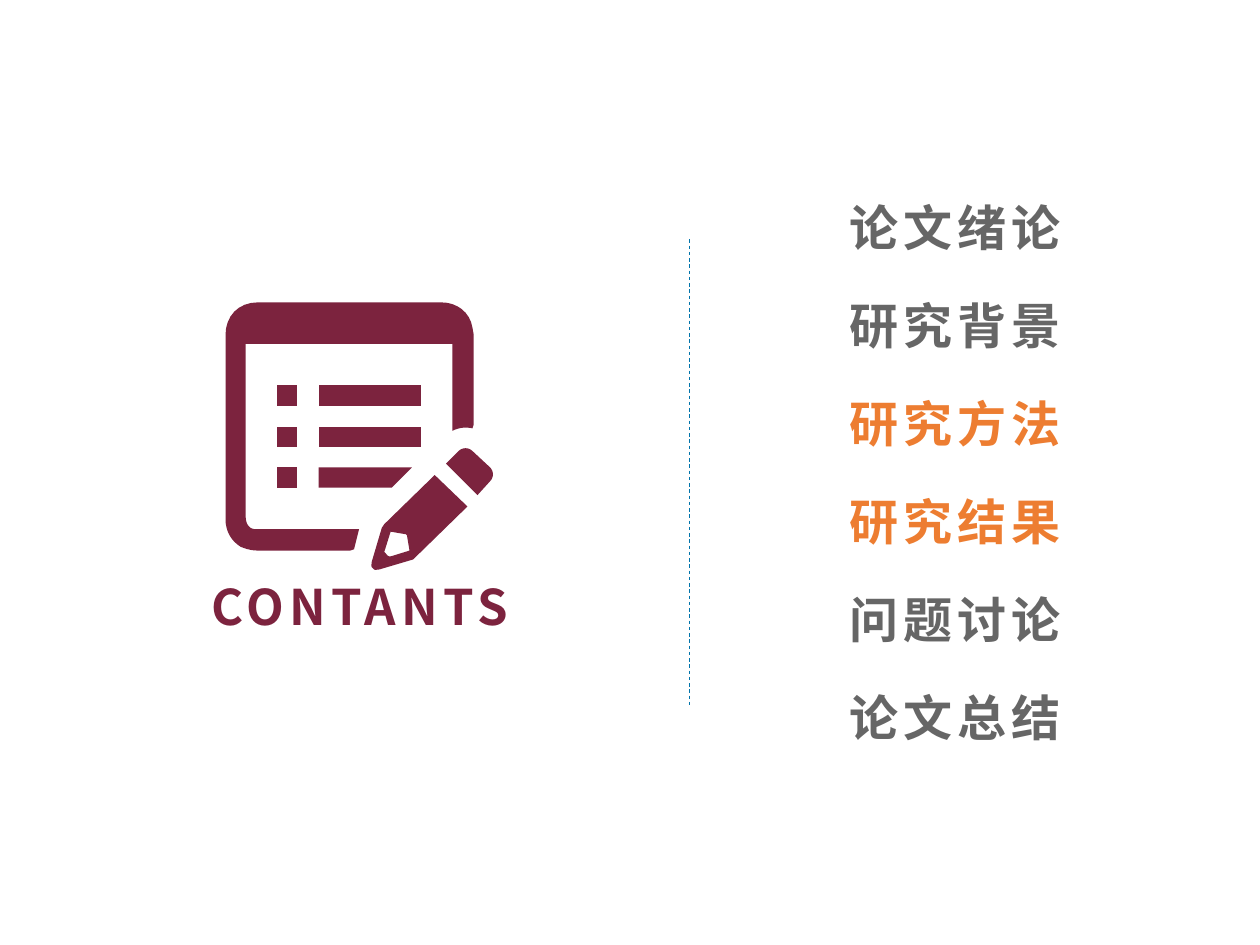
from lxml import etree
from pptx import Presentation
from pptx.dml.color import RGBColor
from pptx.enum.dml import MSO_LINE
from pptx.enum.shapes import MSO_CONNECTOR
from pptx.enum.text import MSO_AUTO_SIZE, PP_ALIGN
from pptx.oxml.ns import qn
from pptx.util import Inches, Pt

DASH = MSO_LINE.DASH
STRAIGHT = MSO_CONNECTOR.STRAIGHT
GROW = MSO_AUTO_SIZE.SHAPE_TO_FIT_TEXT
LEFT, CENTER = PP_ALIGN.LEFT, PP_ALIGN.CENTER
FONT = "Noto Sans CJK SC"
COLORS = {"wine": "7C233E", "gray": "666666", "orange": "ED7D31", "blue": "0174AB"}
STEPS = 8

deck = Presentation()
deck.slide_width, deck.slide_height = Inches(10), Inches(7.5)
slide = deck.slides.add_slide(deck.slide_layouts[6])


def label(text, left, top, width, color, align=LEFT):
    box = slide.shapes.add_textbox(Inches(left), Inches(top), Inches(width), Inches(0.57))
    frame = box.text_frame
    frame.word_wrap = True
    frame.auto_size = GROW
    para = frame.paragraphs[0]
    para.alignment = align
    run = para.add_run()
    run.text = text
    font = para.font
    font.name, font.size, font.bold = FONT, Pt(28), True
    font.color.rgb = RGBColor.from_string(COLORS[color])
    props = run._r.get_or_add_rPr()
    props.set("spc", "300")
    etree.SubElement(props, qn("a:ea")).set("typeface", FONT)


def outline(shapes, *rings):
    """Fill closed rings; a pair is a corner, six numbers are a cubic curve."""
    build = None
    for first, *rest in rings:
        start = [Inches(v) for v in first]
        if build is None:
            build = shapes.build_freeform(*start)
        else:
            build.move_to(*start)
        dots, (x, y) = [], first
        for part in rest:
            if len(part) == 2:
                dots.append(part)
            else:
                a, b, c, d, e, f = part
                for i in range(1, STEPS + 1):
                    t = i / STEPS
                    u = 1 - t
                    dots.append((
                        u**3 * x + 3 * u * u * t * a + 3 * u * t * t * c + t**3 * e,
                        u**3 * y + 3 * u * u * t * b + 3 * u * t * t * d + t**3 * f))
            x, y = part[-2:]
        build.add_line_segments([(Inches(px), Inches(py)) for px, py in dots], close=True)
    shape = build.convert_to_shape()
    shape.shadow.inherit = False
    shape.fill.solid()
    shape.fill.fore_color.rgb = RGBColor.from_string(COLORS["wine"])
    shape.line.fill.background()


# Divider
rule = slide.shapes.add_connector(STRAIGHT, Inches(5.47), Inches(1.9), Inches(5.47), Inches(5.6))
rule.line.color.rgb = RGBColor.from_string(COLORS["blue"])
rule.line.width = Pt(0.5)
rule.line.dash_style = DASH
etree.SubElement(rule._element.spPr, qn("a:effectLst"))

# Chapters
chapters = [("论文绪论", "gray"), ("研究背景", "gray"), ("研究方法", "orange"),
            ("研究结果", "orange"), ("问题讨论", "gray"), ("论文总结", "gray")]
pitch = (5.41 - 1.52) / (len(chapters) - 1)
for i, (name, color) in enumerate(chapters):
    label(name, 6.64, 1.52 + i * pitch, 1.96, color)

# Notepad icon
icon = slide.shapes.add_group_shape().shapes
page = [(2.85, 4.2), (2.81, 4.36), (2.78, 4.37), (2.05, 4.37),
        (2, 4.37, 1.96, 4.36, 1.91, 4.34), (1.83, 4.29, 1.79, 4.21, 1.79, 4.12),
        (1.79, 2.66), (1.79, 2.51, 1.89, 2.4, 2.05, 2.4), (3.5, 2.4),
        (3.63, 2.4, 3.73, 2.48, 3.75, 2.6), (3.76, 2.66), (3.76, 3.37), (3.75, 3.4),
        (3.7, 3.39, 3.65, 3.39, 3.59, 3.42), (3.59, 2.73), (1.95, 2.73),
        (1.95, 4.1), (1.95, 4.16, 1.98, 4.21, 2.05, 4.2)]
body = [(3.45, 3.77), (3.71, 4.02), (3.31, 4.41), (3.28, 4.44), (3.01, 4.52),
        (2.99, 4.52, 2.97, 4.53, 2.96, 4.51), (2.94, 4.5, 2.95, 4.48, 2.95, 4.46),
        (3.03, 4.19), (3.05, 4.16)]
tip = [(3.1, 4.22), (3.05, 4.38), (3.06, 4.39), (3.08, 4.42, 3.09, 4.42, 3.12, 4.41),
       (3.25, 4.37), (3.23, 4.25), (3.22, 4.24)]
eraser = [(3.54, 3.68), (3.64, 3.58), (3.67, 3.55, 3.72, 3.55, 3.75, 3.58),
          (3.89, 3.71), (3.92, 3.74, 3.92, 3.79, 3.89, 3.82), (3.79, 3.93)]
outline(icon, page)
outline(icon, body, tip)
outline(icon, eraser)

# List rows: a bullet and a bar each, the last bar cut by the pencil
for top, high, low in [(3.06, 3.34, 3.34), (3.39, 3.34, 3.34), (3.71, 3.27, 3.11)]:
    end = top + 0.16
    outline(icon, [(2.2, top), (2.36, top), (2.36, end), (2.2, end)])
    outline(icon, [(2.53, top), (high, top), (low, end), (2.53, end)])

label("CONTANTS", 1.4, 4.53, 2.91, "wine", CENTER)

deck.save("out.pptx")
